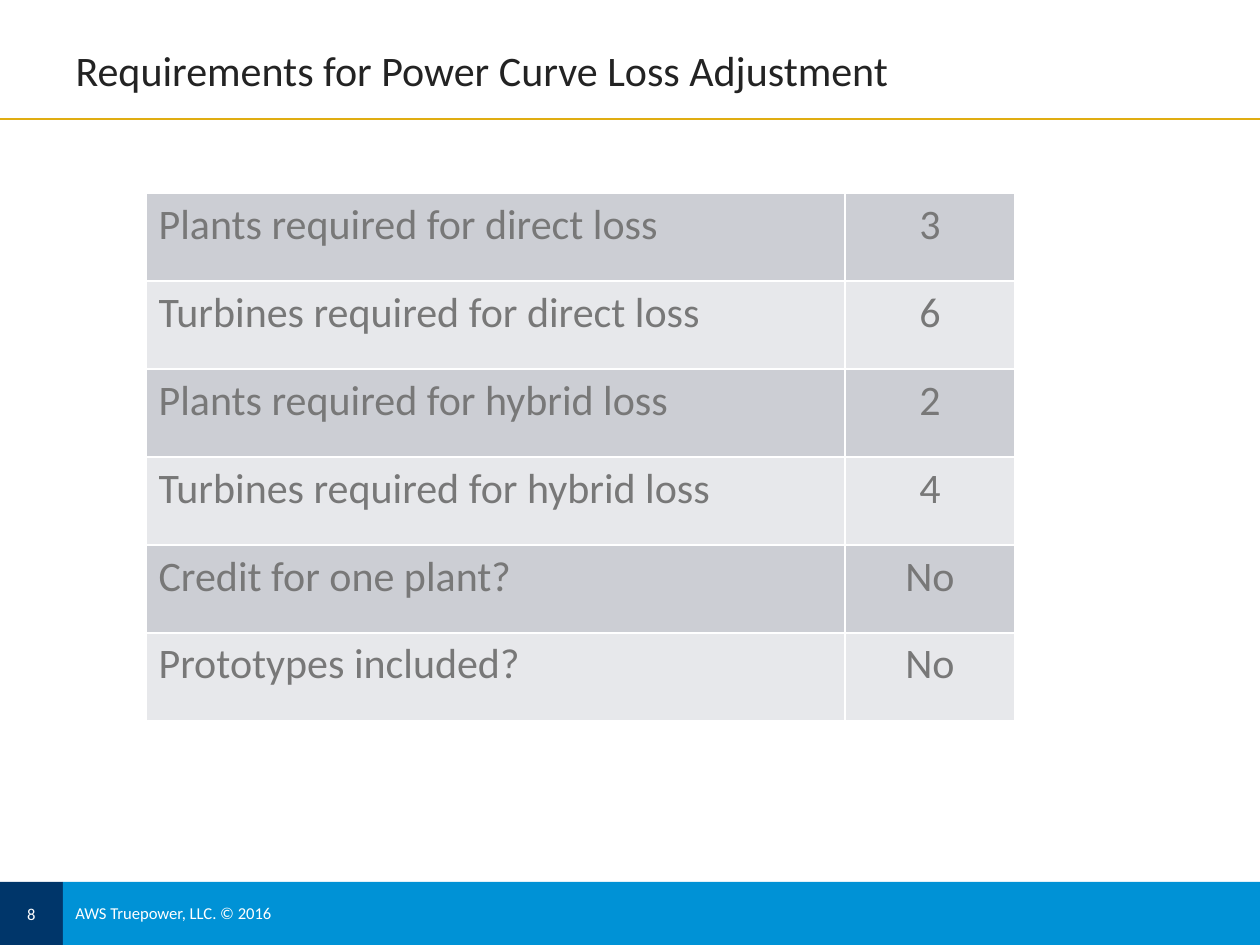
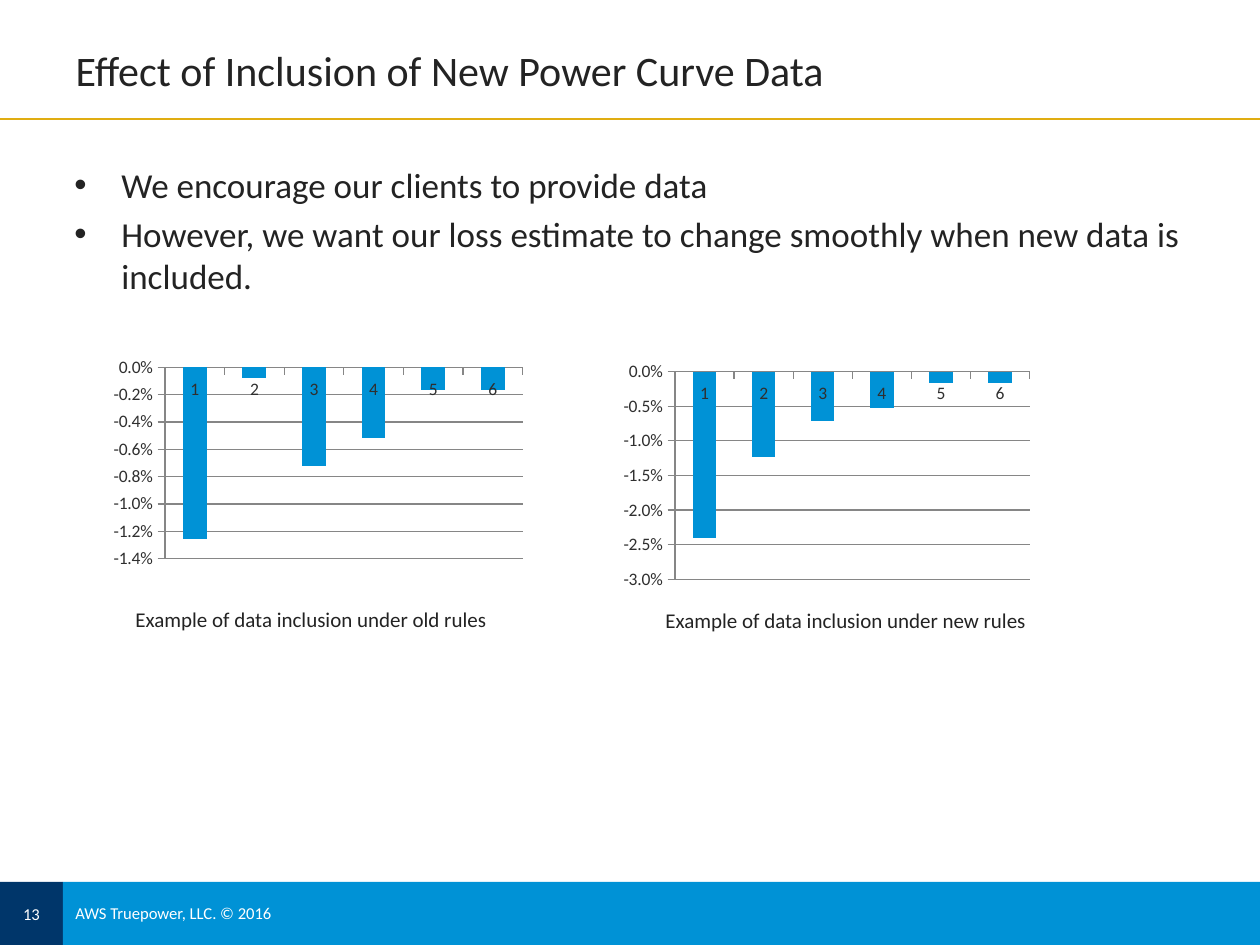
from lxml.etree import SubElement
from pptx import Presentation
from pptx.chart.data import CategoryChartData
from pptx.dml.color import RGBColor
from pptx.enum.chart import XL_CHART_TYPE, XL_TICK_MARK
from pptx.enum.shapes import MSO_CONNECTOR, MSO_SHAPE
from pptx.enum.text import MSO_ANCHOR, PP_ALIGN
from pptx.oxml import parse_xml
from pptx.oxml.ns import nsdecls, qn
from pptx.util import Emu, Pt

EMU_PER_PX = 914400 / 126
FONT = "Calibri"
WHITE = RGBColor(0xFF, 0xFF, 0xFF)
NAVY = RGBColor(0x00, 0x36, 0x6A)
BLUE = RGBColor(0x00, 0x92, 0xD6)
GOLD = RGBColor(0xE0, 0xAD, 0x12)
INK = RGBColor(0x23, 0x23, 0x23)
CHART_INK = RGBColor(0x2F, 0x2F, 0x2F)
AXIS_GREY = RGBColor(0x86, 0x86, 0x86)
TABLE_INK = RGBColor(0x78, 0x78, 0x78)
ROW_FILLS = [RGBColor(0xCC, 0xCE, 0xD4), RGBColor(0xE7, 0xE8, 0xEB)]


def px(*lengths):
    return [Emu(round(length * EMU_PER_PX)) for length in lengths]


def write(paragraph, text, size, color, align=PP_ALIGN.LEFT):
    paragraph.alignment = align
    run = paragraph.add_run()
    run.text = text
    run.font.name = FONT
    run.font.size = Pt(size)
    run.font.color.rgb = color


prs = Presentation()
prs.slide_width, prs.slide_height = px(1260, 945)

# Title, rule and footer on every slide
slides = []
for number, heading in [
    ("8", "Requirements for Power Curve Loss Adjustment"),
    ("13", "Effect of Inclusion of New Power Curve Data"),
]:
    slide = prs.slides.add_slide(prs.slide_layouts[5])
    slides.append(slide)
    title = slide.shapes.title
    title.left, title.top, title.width, title.height = px(63, 19, 1134, 101)
    title.text_frame.vertical_anchor = MSO_ANCHOR.MIDDLE
    write(title.text_frame.paragraphs[0], heading, 24, INK)

    bands = []
    for left, width, color in [(0, 63, NAVY), (63, 1197, BLUE)]:
        band = slide.shapes.add_shape(MSO_SHAPE.RECTANGLE, *px(left, 882, width, 63))
        band.shadow.inherit = False
        band.fill.solid()
        band.fill.fore_color.rgb = color
        band.line.fill.background()
        bands.append(band)
    number_frame = bands[0].text_frame
    number_frame.vertical_anchor = MSO_ANCHOR.MIDDLE
    write(number_frame.paragraphs[0], number, 9.5, WHITE, PP_ALIGN.CENTER)

    rule = slide.shapes.add_connector(MSO_CONNECTOR.STRAIGHT, *px(0, 119, 1260, 119))
    rule.line.color.rgb = GOLD
    rule.line.width = Pt(0.75)
    SubElement(rule._element.spPr, qn("a:effectLst"))

    copyright_box = slide.shapes.add_textbox(*px(63, 897, 402, 33))
    copyright_box.text_frame.word_wrap = True
    write(copyright_box.text_frame.paragraphs[0], "AWS Truepower, LLC. © 2016", 9.5, WHITE)

requirements_slide, effect_slide = slides

# Requirements table
requirements = [
    ("Plants required for direct loss", "3"),
    ("Turbines required for direct loss", "6"),
    ("Plants required for hybrid loss", "2"),
    ("Turbines required for hybrid loss", "4"),
    ("Credit for one plant?", "No"),
    ("Prototypes included?", "No"),
]
column_widths = [699, 170]
row_height = 88
table = requirements_slide.shapes.add_table(
    len(requirements), 2,
    *px(146, 193, sum(column_widths), row_height * len(requirements)),
).table
table.first_row = False
for column, width in zip(table.columns, px(*column_widths)):
    column.width = width
for row_index, requirement in enumerate(requirements):
    for column_index, text in enumerate(requirement):
        cell = table.cell(row_index, column_index)
        for side in ("lnL", "lnR", "lnT", "lnB"):
            cell._tc.get_or_add_tcPr().append(parse_xml(
                f'<a:{side} {nsdecls("a")} w="12700"><a:solidFill>'
                f'<a:srgbClr val="{WHITE}"/></a:solidFill></a:{side}>'
            ))
        cell.fill.solid()
        cell.fill.fore_color.rgb = ROW_FILLS[row_index % 2]
        align = PP_ALIGN.CENTER if column_index else PP_ALIGN.LEFT
        write(cell.text_frame.paragraphs[0], text, 24, TABLE_INK, align)

# Key points
points_frame = effect_slide.shapes.add_textbox(*px(62, 157, 1134, 151)).text_frame
points_frame.word_wrap = True
for index, point in enumerate([
    "We encourage our clients to provide data",
    "However, we want our loss estimate to change smoothly when new data is included.",
]):
    paragraph = points_frame.add_paragraph() if index else points_frame.paragraphs[0]
    properties = paragraph._p.get_or_add_pPr()
    indent = px(47)[0]
    properties.set("marL", str(indent))
    properties.set("indent", str(-indent))
    SubElement(properties, qn("a:buFont"), typeface="Arial")
    SubElement(properties, qn("a:buChar"), char="•")
    if index:
        paragraph.space_before = Pt(4)
    write(paragraph, point, 20, INK)

# Old and new rules, each a chart with its caption
smaller_losses = [-0.0072, -0.0052, -0.0017, -0.0017]
for rules, first_losses, lowest, step, chart_area, caption_area in [
    ("old", [-0.0126, -0.0008], -0.014, 0.002, (105, 353, 426, 220), (123, 600, 407, 66)),
    ("new", [-0.024, -0.0124], -0.03, 0.005, (615, 357, 423, 237), (653, 601, 387, 47)),
]:
    losses = CategoryChartData(number_format="0.0%")
    losses.categories = ["1", "2", "3", "4", "5", "6"]
    losses.add_series("Series 1", first_losses + smaller_losses)
    chart = effect_slide.shapes.add_chart(
        XL_CHART_TYPE.COLUMN_CLUSTERED, *px(*chart_area), losses
    ).chart
    chart.has_legend = False
    chart.has_title = False
    chart.font.name = FONT
    chart.font.size = Pt(10)
    chart.font.color.rgb = CHART_INK
    plot = chart.plots[0]
    plot.gap_width = 150
    plot.vary_by_categories = False
    series = plot.series[0]
    series.invert_if_negative = False
    series.format.fill.solid()
    series.format.fill.fore_color.rgb = BLUE
    for axis in (chart.category_axis, chart.value_axis):
        axis.major_tick_mark = XL_TICK_MARK.OUTSIDE
        axis.minor_tick_mark = XL_TICK_MARK.NONE
        axis.format.line.color.rgb = AXIS_GREY
    loss_axis = chart.value_axis
    loss_axis.minimum_scale = lowest
    loss_axis.maximum_scale = 0
    loss_axis.major_unit = step
    loss_axis.tick_labels.number_format = "0.0%"
    loss_axis.tick_labels.number_format_is_linked = False
    loss_axis.has_major_gridlines = True
    loss_axis.major_gridlines.format.line.color.rgb = AXIS_GREY

    caption_frame = effect_slide.shapes.add_textbox(*px(*caption_area)).text_frame
    caption_frame.word_wrap = True
    write(caption_frame.paragraphs[0], f"Example of data inclusion under {rules} rules", 12, INK)

prs.save("out.pptx")
